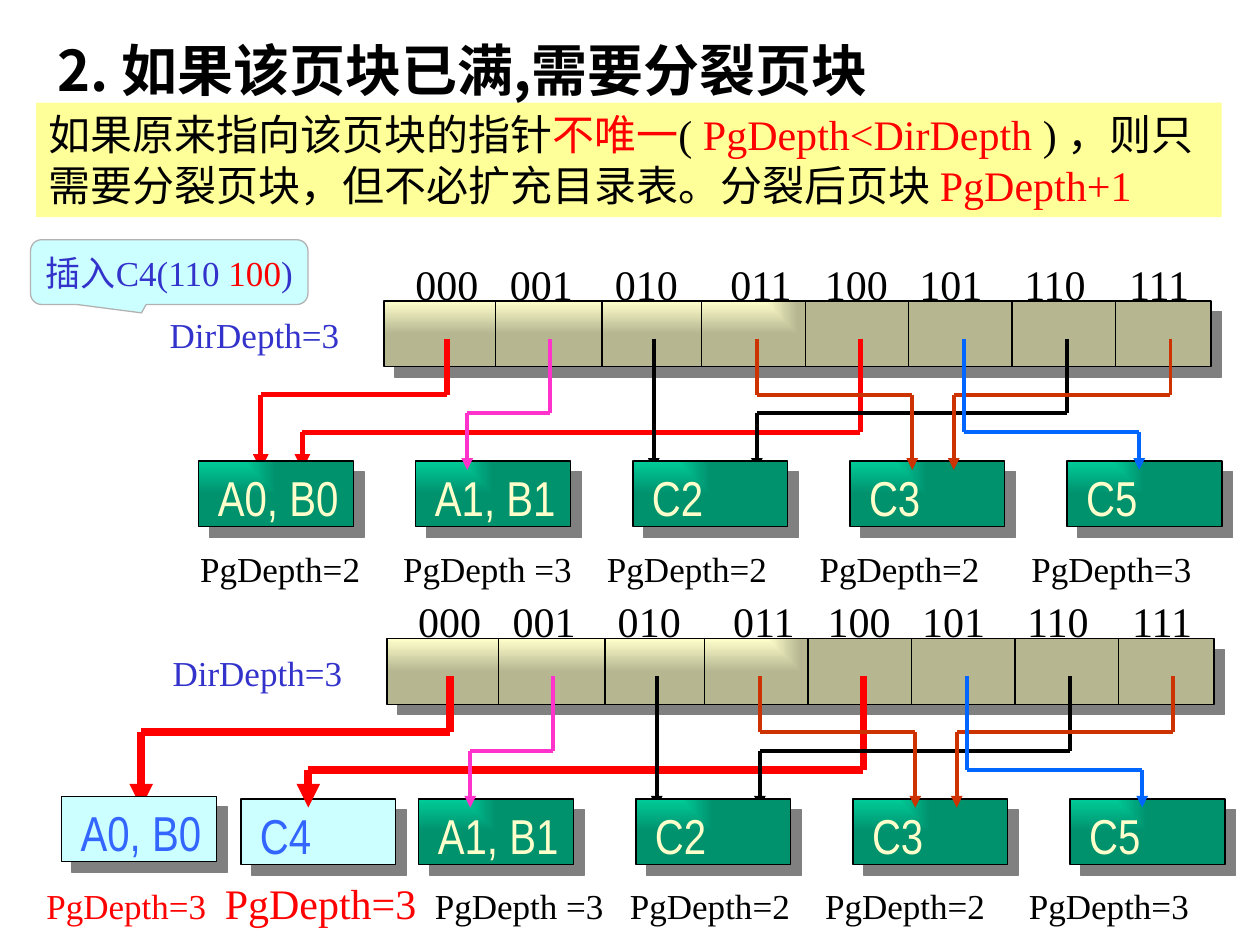
from dataclasses import dataclass

from pptx import Presentation
from pptx.dml.color import RGBColor
from pptx.enum.shapes import MSO_CONNECTOR, MSO_SHAPE
from pptx.enum.text import MSO_ANCHOR, MSO_AUTO_SIZE, PP_ALIGN
from pptx.oxml import parse_xml
from pptx.oxml.ns import nsdecls, qn
from pptx.util import Pt

RECT, CALLOUT = MSO_SHAPE.RECTANGLE, MSO_SHAPE.ROUNDED_RECTANGULAR_CALLOUT
STRAIGHT = MSO_CONNECTOR.STRAIGHT
TOP, MIDDLE = MSO_ANCHOR.TOP, MSO_ANCHOR.MIDDLE
LEFT, CENTER = PP_ALIGN.LEFT, PP_ALIGN.CENTER
GROW = MSO_AUTO_SIZE.SHAPE_TO_FIT_TEXT


@dataclass(frozen=True)
class Theme:
    """Colours, fonts and type sizes of the slide."""
    black: str = "000000"
    red: str = "FF0000"
    pink: str = "FF33CC"
    rust: str = "CC3300"
    blue: str = "0066FF"
    indigo: str = "3333CC"
    cream: str = "FFFFCC"
    green: str = "00CC99"
    aqua: str = "CCFFFF"
    azure: str = "3366FF"
    yellow: str = "FFFF99"
    grey: str = "B2B2B2"
    shade: str = "808080"
    serif: str = "Times New Roman"
    narrow: str = "Arial Narrow"
    chinese: str = "Noto Sans CJK SC"
    title: int = 32
    record: int = 28
    body: int = 24
    note: int = 20


T = Theme()
CODES = ["000", "001", "010", "011", "100", "101", "110", "111"]
CODE_TABS = [54, 114, 180, 234, 288, 348, 408]
BAR_LEFT, BAR_TOP, BAR_WIDTH, CELL_HEIGHT = 219.5, 172, 472.5, 37.5
DIVIDERS = [283, 344] + [401 + 59.1 * i for i in range(5)]
STEM_LEFT, STEM_STEP, STEM_TOP = 255.5, 59.05, 193.5
BENDS = [225.5, 236.2, 247]
TIP = 268.5
PAGE_TOP, PAGE_WIDTH = 263.5, 88.5
PAGE_X = [113.6 + 124.05 * i for i in range(5)]
SHARED_ROUTES = [
    (1, 1, 267, T.pink, 2.25),
    (2, None, None, T.black, 2.25),
    (6, 1, 432.5, T.black, 2.25),
    (3, 0, 521.3, T.rust, 2.25),
    (7, 0, 545, T.rust, 2.25),
    (5, 2, 651, T.blue, 2.25),
]


def apply(target, values):
    """Set each named attribute on the target."""
    for name, value in values.items():
        setattr(target, name, value)


def add_span(para, text, color, size, font, bold=False):
    """Add a run with its format, including the East Asian font."""
    span = para.add_run()
    span.text = text
    apply(span.font, {"size": Pt(size), "name": font, "bold": bold})
    span.font.color.rgb = RGBColor.from_string(color)
    span.font._element.append(parse_xml(f'<a:ea {nsdecls("a")} typeface="{T.chinese}"/>'))


def write(box, spans, wrap=False, anchor=TOP, align=LEFT, spacing=None, tabs=()):
    """Fill a shape with one paragraph of spans."""
    apply(box.text_frame, {"word_wrap": wrap, "vertical_anchor": anchor})
    para = box.text_frame.paragraphs[0]
    if tabs:
        stops = "".join(f'<a:tab pos="{Pt(stop)}" algn="l"/>' for stop in tabs)
        para._p.get_or_add_pPr().append(
            parse_xml(f'<a:tabLst {nsdecls("a")}>{stops}</a:tabLst>'))
    apply(para, {"alignment": align, "line_spacing": spacing})
    for span in spans:
        add_span(para, *span)


def add_text(page, left, top, width, height, spans, **layout):
    """Add a text box that grows with its text."""
    box = page.shapes.add_textbox(Pt(left), Pt(top), Pt(width), Pt(height))
    write(box, spans, **layout)
    box.text_frame.auto_size = GROW
    return box


def add_box(page, left, top, width, height, fill, line=None, kind=RECT):
    """Add a plain filled shape."""
    box = page.shapes.add_shape(kind, Pt(left), Pt(top), Pt(width), Pt(height))
    box.shadow.inherit = False
    box.fill.solid()
    box.fill.fore_color.rgb = RGBColor.from_string(fill)
    if line:
        box.line.color.rgb = RGBColor.from_string(line)
        box.line.width = Pt(0.75)
    else:
        box.line.fill.background()
    return box


def add_raised_box(page, left, top, width, color, shaded=True):
    """Add an outlined box with a hard shadow and a corner gradient."""
    box = add_box(page, left, top, width, CELL_HEIGHT, color, T.black)
    properties = box._element.spPr
    properties.find(qn("a:effectLst")).append(parse_xml(
        f'<a:outerShdw {nsdecls("a")} dist="{Pt(8.5)}" dir="2700000" algn="ctr" '
        f'rotWithShape="0"><a:srgbClr val="{T.shade}"/></a:outerShdw>'))
    if shaded:
        properties.replace(properties.find(qn("a:solidFill")), parse_xml(
            f'<a:gradFill {nsdecls("a")} rotWithShape="0"><a:gsLst>'
            f'<a:gs pos="0"><a:srgbClr val="{color}"/></a:gs>'
            f'<a:gs pos="100000"><a:srgbClr val="{color}"><a:shade val="46275"/></a:srgbClr></a:gs>'
            '</a:gsLst><a:path path="rect"><a:fillToRect r="100000" b="100000"/></a:path>'
            '</a:gradFill>'))


def add_line(page, start, end, color, width, arrow=False):
    """Add a straight line, with an arrowhead at its end if asked."""
    line = page.shapes.add_connector(STRAIGHT, *(Pt(v) for v in (*start, *end)))
    line.line.color.rgb = RGBColor.from_string(color)
    line.line.width = Pt(width)
    if arrow:
        line.line._get_or_add_ln().append(
            parse_xml(f'<a:tailEnd {nsdecls("a")} type="triangle"/>'))
    line._element.spPr.append(parse_xml(f'<a:effectLst {nsdecls("a")}/>'))


def add_route(page, cell, bend, tip, color, width):
    """Draw the pointer from a directory cell down to its page."""
    stem = STEM_LEFT + STEM_STEP * cell
    if bend is None:
        add_line(page, (stem, STEM_TOP), (stem, TIP), color, width, True)
        return
    level = BENDS[bend]
    add_line(page, (stem, STEM_TOP), (stem, level), color, width)
    add_line(page, (stem, level), (tip, level), color, width)
    add_line(page, (tip, level), (tip, TIP), color, width, True)


def add_page_block(page, text, left, top=PAGE_TOP, fresh=False):
    """Draw one page block with the records it holds."""
    add_raised_box(page, left, top, PAGE_WIDTH, T.aqua if fresh else T.green, not fresh)
    color = T.azure if fresh else T.cream
    add_text(page, left + 3.8, top, 86 if "," in text else 44, 41,
             [(text, color, T.record, T.narrow)])


def add_directory(page):
    """Draw the directory bar, its cell borders and its labels."""
    add_raised_box(page, BAR_LEFT, BAR_TOP, BAR_WIDTH, T.cream)
    add_text(page, 230.2, 144, 464.5, 36,
             [("\t".join(CODES), T.black, T.body, T.serif)], wrap=True, tabs=CODE_TABS)
    for x in DIVIDERS:
        add_line(page, (x, BAR_TOP), (x, BAR_TOP + CELL_HEIGHT), T.black, 0.75)
    add_text(page, 89.8, 175.7, 117.5, 31, [("DirDepth=3", T.indigo, T.note, T.serif)])


def add_stage(slide, red_routes, back_blocks, front_blocks, depths, shift=(0, 0)):
    """Draw a directory with its pages as one group."""
    group = slide.shapes.add_group_shape()
    for text, i in (("A1, B1", 1), ("C3", 3), ("C5", 4)):
        add_page_block(group, text, PAGE_X[i])
    for block in back_blocks:
        add_page_block(group, *block)
    add_directory(group)
    for route in red_routes + SHARED_ROUTES:
        add_route(group, *route)
    for block in front_blocks + [("C2", PAGE_X[2])]:
        add_page_block(group, *block)
    place, spans, tabs = depths
    add_text(group, *place, spans, wrap=True, spacing=0.9, tabs=tabs)
    group.left += Pt(shift[0])
    group.top += Pt(shift[1])


def add_heading(slide):
    """Draw the rule text and the title."""
    panel = add_box(slide, 20.6, 58.6, 677.5, 65.5, T.yellow)
    write(panel, [
        ("如果原来指向该页块的指针", T.black, T.body, T.chinese),
        ("不唯一", T.red, T.body, T.chinese),
        ("( ", T.black, T.body, T.serif),
        ("PgDepth<DirDepth ", T.red, T.body, T.serif),
        (") ", T.black, T.body, T.serif),
        ("，则只需要分裂页块，但不必扩充目录表。分裂后页块 ", T.black, T.body, T.chinese),
        ("PgDepth+1", T.red, T.body, T.serif)], wrap=True)
    add_text(slide, 25.5, 15, 544, 50,
             [("2. 如果该页块已满,需要分裂页块", T.black, T.title, T.chinese, True)],
             wrap=True, spacing=1.05)


def main():
    """Build the slide and save it."""
    deck = Presentation()
    apply(deck, {"slide_width": Pt(720), "slide_height": Pt(540)})
    slide = deck.slides.add_slide(deck.slide_layouts[6])
    before = "PgDepth=2\tPgDepth =3\tPgDepth=2\tPgDepth=2\tPgDepth=3"
    add_stage(slide, [(0, 0, 149, T.red, 3), (4, 2, 172.8, T.red, 3)],
              [], [("A0, B0", PAGE_X[0])],
              ((107.3, 311.8, 604, 29), [(before, T.black, T.note, T.serif)],
               [116, 232.5, 354, 475]))
    callout = add_box(slide, 17.5, 137, 158.5, 37, T.aqua, T.grey, CALLOUT)
    for i, value in enumerate((-0.1, 0.63, 0.17)):
        callout.adjustments[i] = value
    write(callout, [("插入C4(110 ", T.indigo, T.note, T.serif),
                    ("100", T.red, T.note, T.serif),
                    (")", T.indigo, T.note, T.serif)], anchor=MIDDLE, align=CENTER)
    after = "\tPgDepth =3\tPgDepth=2\tPgDepth=2\tPgDepth=3"
    add_stage(slide, [(0, 0, 79, T.red, 4.5), (4, 2, 174.5, T.red, 4.5)],
              [("C4", 136, PAGE_TOP, True)], [("A0, B0", 33.5, 262, True)],
              ((17.7, 308, 695, 33),
               [("PgDepth=3\t", T.red, T.note, T.serif),
                ("PgDepth=3", T.red, T.body, T.serif),
                (after, T.black, T.note, T.serif)],
               [102, 222, 333.5, 445, 561.5]), (1.7, 193))
    add_heading(slide)
    deck.save("out.pptx")


if __name__ == "__main__":
    main()
